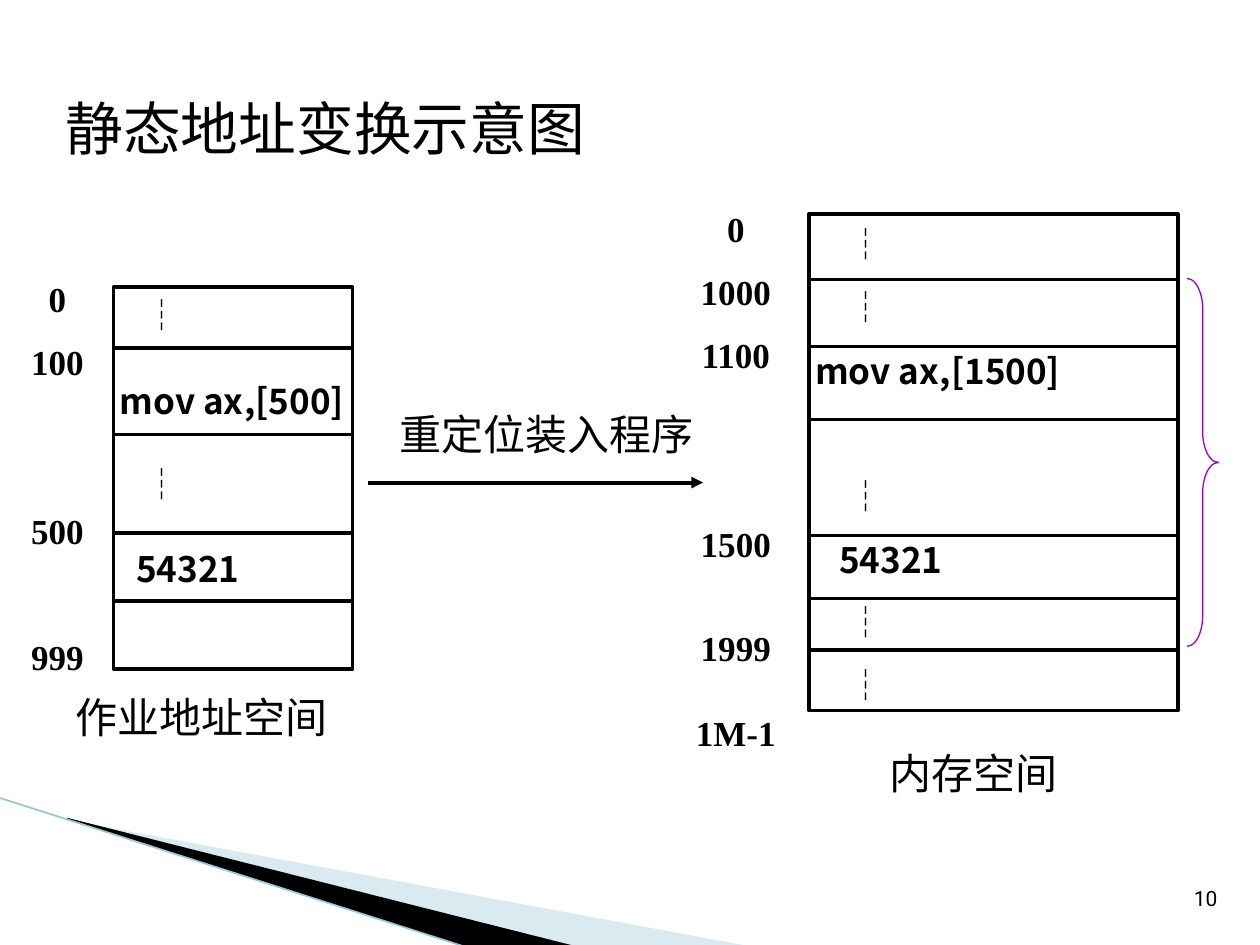
from lxml import etree
from pptx import Presentation
from pptx.dml.color import RGBColor
from pptx.enum import shapes, text
from pptx.oxml.ns import qn
from pptx.util import Inches, Pt

BLACK = RGBColor(0x00, 0x00, 0x00)
WHITE = RGBColor(0xFF, 0xFF, 0xFF)
PALE_BLUE = RGBColor(0xA0, 0xCB, 0xDC)
EDGE_BLUE = RGBColor(0x97, 0xC5, 0xD8)
PURPLE = RGBColor(0x99, 0x00, 0xCC)
SANS, SERIF, NUMBER = "Noto Sans CJK SC", "Times New Roman", "Roboto"
DOTS = "┆"

# Each address space: frame, row lines, address labels and cell texts
# labels: (text, middle y); cells: (text, left, middle y)
SPACES = [
    dict(frame=(0.9, 2.28, 1.9, 3.03), rules=[2.76, 3.45, 4.23, 4.77],
         label_x=0.455,
         labels=[("0", 2.37), ("100", 2.87), ("500", 4.21), ("999", 5.21)],
         dots_x=1.29, dots=[2.5, 3.84],
         cells=[("mov ax,[500]", 0.95, 3.18), ("54321", 1.08, 4.51)]),
    dict(frame=(6.42, 1.7, 2.93, 3.94),
         rules=[2.22, 2.75, 3.33, 4.25, 4.75, 5.16],
         label_x=5.84,
         labels=[("0", 1.81), ("1000", 2.31), ("1100", 2.81),
                 ("1500", 4.31), ("1999", 5.14), ("1M-1", 5.81)],
         dots_x=6.87, dots=[1.93, 2.43, 3.93, 4.93, 5.43],
         cells=[("mov ax,[1500]", 6.47, 2.94), ("54321", 6.66, 4.44)]),
]
# (text, left, middle y, width)
CAPTIONS = [("作业地址空间", 0.6, 5.69, 2.47),
            ("内存空间", 7.06, 6.13, 1.44),
            ("重定位装入程序", 3.17, 3.44, 2.42)]
TITLE = "静态地址变换示意图"
PALE_WEDGE = [(0.55, 6.51), (5.95, 7.51), (4.56, 7.51), (0.55, 6.5)]
BLACK_WEDGE = [(0.53, 6.49), (4.57, 7.51), (3.72, 7.52), (0.54, 6.5)]

prs = Presentation()
prs.slide_width, prs.slide_height = Inches(10), Inches(7.5)
s = prs.slides.add_slide(prs.slide_layouts[6])


def add_text(words, left, middle, width, size, font, bold=False,
             align=text.PP_ALIGN.LEFT):
    height = size / 72 * 1.5
    sp = s.shapes.add_textbox(Inches(left), Inches(middle - height / 2),
                              Inches(width), Inches(height))
    tf = sp.text_frame
    tf.margin_left = tf.margin_right = tf.margin_top = tf.margin_bottom = 0
    tf.word_wrap = True
    tf.vertical_anchor = text.MSO_ANCHOR.MIDDLE
    p = tf.paragraphs[0]
    p.text, p.alignment = words, align
    r = p.runs[0]
    r.font.size, r.font.name, r.font.bold = Pt(size), font, bold
    r.font.color.rgb = BLACK
    ea = etree.SubElement(r.font._element, qn("a:ea"))
    ea.set("typeface", SANS)


def add_centred(words, centre, middle, width, size, font, bold=False):
    add_text(words, centre - width / 2, middle, width, size, font, bold,
             text.PP_ALIGN.CENTER)


def add_line(x1, y1, x2, y2, color=BLACK, width=2):
    ln = s.shapes.add_connector(shapes.MSO_CONNECTOR.STRAIGHT, Inches(x1),
                                Inches(y1), Inches(x2), Inches(y2))
    ln.line.color.rgb, ln.line.width = color, Pt(width)
    etree.SubElement(ln._element.spPr, qn("a:effectLst"))
    return ln


def add_wedge(points, color):
    pts = [(Inches(x), Inches(y)) for x, y in points]
    fb = s.shapes.build_freeform(*pts[0])
    fb.add_line_segments(pts[1:])
    sp = fb.convert_to_shape()
    sp.shadow.inherit = False
    sp.fill.solid()
    sp.fill.fore_color.rgb = color
    sp.line.fill.background()
    return sp


def add_preset(kind, box, color, width):
    sp = s.shapes.add_shape(kind, *map(Inches, box))
    sp.shadow.inherit = False
    sp.line.color.rgb, sp.line.width = color, Pt(width)
    return sp


# Corner decoration and page number
pale = add_wedge(PALE_WEDGE, PALE_BLUE)
clr = pale._element.spPr.find(qn("a:solidFill"))[0]
etree.SubElement(clr, qn("a:alpha")).set("val", "40000")
add_wedge(BLACK_WEDGE, BLACK)
add_line(-0.01, 6.33, 3.71, 7.52, EDGE_BLUE, 0.95)
add_centred("10", 9.57, 7.13, 0.4, 12, NUMBER)

# Address spaces
for space in SPACES:
    left, top, width, height = space["frame"]
    frame = add_preset(shapes.MSO_SHAPE.RECTANGLE, space["frame"], BLACK, 2)
    frame.fill.solid()
    frame.fill.fore_color.rgb = WHITE
    for y in space["rules"]:
        add_line(left - 0.01, y, left + width - 0.01, y)
    for words, y in space["labels"]:
        add_centred(words, space["label_x"], y, 0.8, 20, SERIF, True)
    for y in space["dots"]:
        add_centred(DOTS, space["dots_x"], y, 0.4, 20, SANS)
    for words, x, y in space["cells"]:
        add_text(words, x, y, 2.2, 20, SANS, True)

# Captions, loader arrow and brace
for words, x, y, width in CAPTIONS:
    add_text(words, x, y, width, 24, SERIF)
arrow = add_line(2.92, 3.83, 5.58, 3.83, width=2.25)
tail = etree.SubElement(arrow.line._get_or_add_ln(), qn("a:tailEnd"))
tail.set("type", "triangle")
brace = add_preset(shapes.MSO_SHAPE.RIGHT_BRACE, (9.42, 2.21, 0.25, 2.92),
                   PURPLE, 0.75)
brace.fill.background()
brace.adjustments[0] = 0.97

# Title
add_text(TITLE, 0.52, 1.01, 9.1, 33, SANS)

prs.save("out.pptx")
